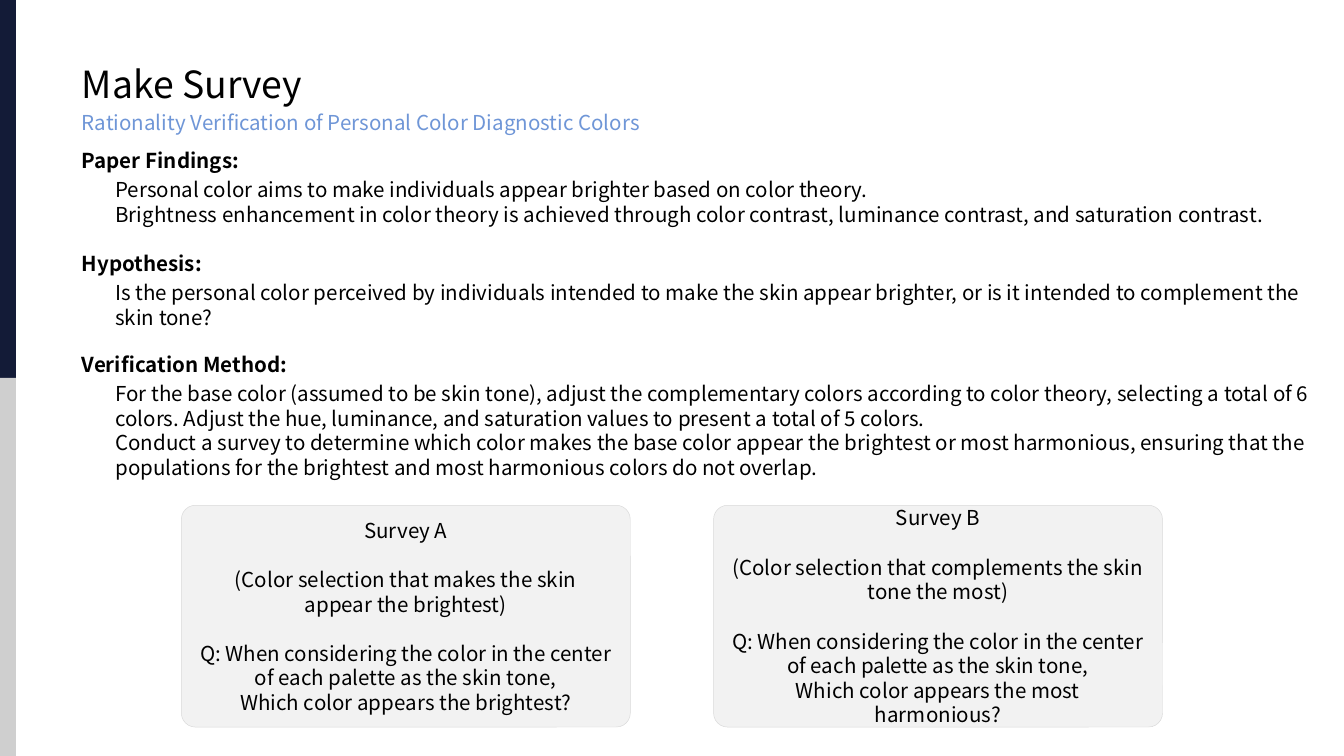
from pptx import Presentation
from pptx.dml.color import RGBColor
from pptx.enum.shapes import MSO_SHAPE as Shape
from pptx.enum.text import MSO_ANCHOR as Anchor, PP_ALIGN as Align
from pptx.util import Inches, Pt

FONT = "Noto Sans CJK KR"
BODY_SIZE = 11
LINE_GAP = 13.2

FINDINGS = [
    ("Paper Findings:", 0, [
        "Personal color aims to make individuals appear brighter based on color theory.",
        "Brightness enhancement in color theory is achieved through color contrast, "
        "luminance contrast, and saturation contrast.",
    ]),
    ("Hypothesis:", LINE_GAP, [
        "Is the personal color perceived by individuals intended to make the skin appear "
        "brighter, or is it intended to complement the skin tone?",
    ]),
    ("Verification Method:", 12, [
        "For the base color (assumed to be skin tone), adjust the complementary colors "
        "according to color theory, selecting a total of 6 colors. Adjust the hue, "
        "luminance, and saturation values to present a total of 5 colors.",
        "Conduct a survey to determine which color makes the base color appear the "
        "brightest or most harmonious, ensuring that the populations for the brightest "
        "and most harmonious colors do not overlap.",
    ]),
]
SURVEYS = [
    ("Survey A", "(Color selection that makes the skin appear the brightest)",
     "Which color appears the brightest?"),
    ("Survey B", "(Color selection that complements the skin tone the most)",
     "Which color appears the most harmonious?"),
]
QUESTION = "Q: When considering the color in the center of each palette as the skin tone,"


def color(value):
    return RGBColor.from_string(value)


def add_box(shapes, kind, box, fill):
    shape = shapes.add_shape(kind, *map(Inches, box))
    shape.shadow.inherit = False
    shape.fill.solid()
    shape.fill.fore_color.rgb = color(fill)
    shape.line.fill.background()
    return shape


def add_text_frame(slide, box):
    frame = slide.shapes.add_textbox(*map(Inches, box)).text_frame
    frame.word_wrap = True
    return frame


def write_paragraphs(frame, lines):
    """Write (text, font values, paragraph values) entries into the frame."""
    for index, (text, font_values, paragraph_values) in enumerate(lines):
        paragraph = frame.add_paragraph() if index else frame.paragraphs[0]
        for name, value in paragraph_values.items():
            setattr(paragraph, name, value)
        run = paragraph.add_run()
        run.text = text
        values = {"name": FONT, "size": Pt(BODY_SIZE), **font_values}
        fill = values.pop("color", "000000")
        for name, value in values.items():
            setattr(run.font, name, value)
        run.font.color.rgb = color(fill)


def add_backdrop(slide, width, height):
    """Two-tone side bar with a white panel covering its right part."""
    group = slide.shapes.add_group_shape()
    left = -0.28
    for box, fill in [
        ((left, 0, 0.47, height), "131B37"),
        ((left, height / 2, 0.48, height / 2), "CFCFCF"),
        ((0.12, 0, width - 0.12, height), "FFFFFF"),
    ]:
        add_box(group.shapes, Shape.RECTANGLE, box, fill)


def add_heading(slide, left, top):
    title = add_text_frame(slide, (left, top, 2.6, 0.44))
    write_paragraphs(title, [("Make Survey", {"size": Pt(20)}, {})])
    subtitle = add_text_frame(slide, (left, top + 0.36, 4.49, 0.29))
    write_paragraphs(subtitle, [
        ("Rationality Verification of Personal Color Diagnostic Colors",
         {"color": "6F96D7"}, {}),
    ])


def add_findings(slide, box):
    frame = add_text_frame(slide, box)
    lines = []
    details = []
    for heading, gap, texts in FINDINGS:
        lines.append((heading, {"bold": True}, {"space_before": Pt(gap)}))
        for index, text in enumerate(texts):
            details.append(len(lines))
            lines.append((text, {}, {"space_before": Pt(0 if index else 2.4)}))
    write_paragraphs(frame, lines)
    for index in details:
        properties = frame.paragraphs[index]._p.get_or_add_pPr()
        properties.set("marL", str(Inches(0.25)))
        properties.set("indent", "0")


def add_survey(slide, box, survey):
    name, purpose, question = survey
    card = add_box(slide.shapes, Shape.ROUNDED_RECTANGLE, box, "F2F2F2")
    card.adjustments[0] = 0.063
    card.line.color.rgb = color("D9D9D9")
    card.line.width = Pt(0.25)
    frame = card.text_frame
    frame.word_wrap = True
    frame.vertical_anchor = Anchor.MIDDLE
    write_paragraphs(frame, [
        (text, {}, {"alignment": Align.CENTER, "space_before": Pt(gap)})
        for text, gap in [
            (name, 0), (purpose, LINE_GAP), (QUESTION, LINE_GAP), (question, 0),
        ]
    ])


def main():
    width = 10
    height = width * 9 / 16
    presentation = Presentation()
    presentation.slide_width = Inches(width)
    presentation.slide_height = Inches(height)
    slide = presentation.slides.add_slide(presentation.slide_layouts[6])

    add_backdrop(slide, width, height)
    add_heading(slide, 0.51, 0.41)
    for index, survey in enumerate(SURVEYS):
        add_survey(slide, (1.35 + index * 3.96, 3.76, 3.34, 1.65), survey)
    add_findings(slide, (0.51, 1.05, 9.53, 2.41))
    presentation.save("out.pptx")


if __name__ == "__main__":
    main()
